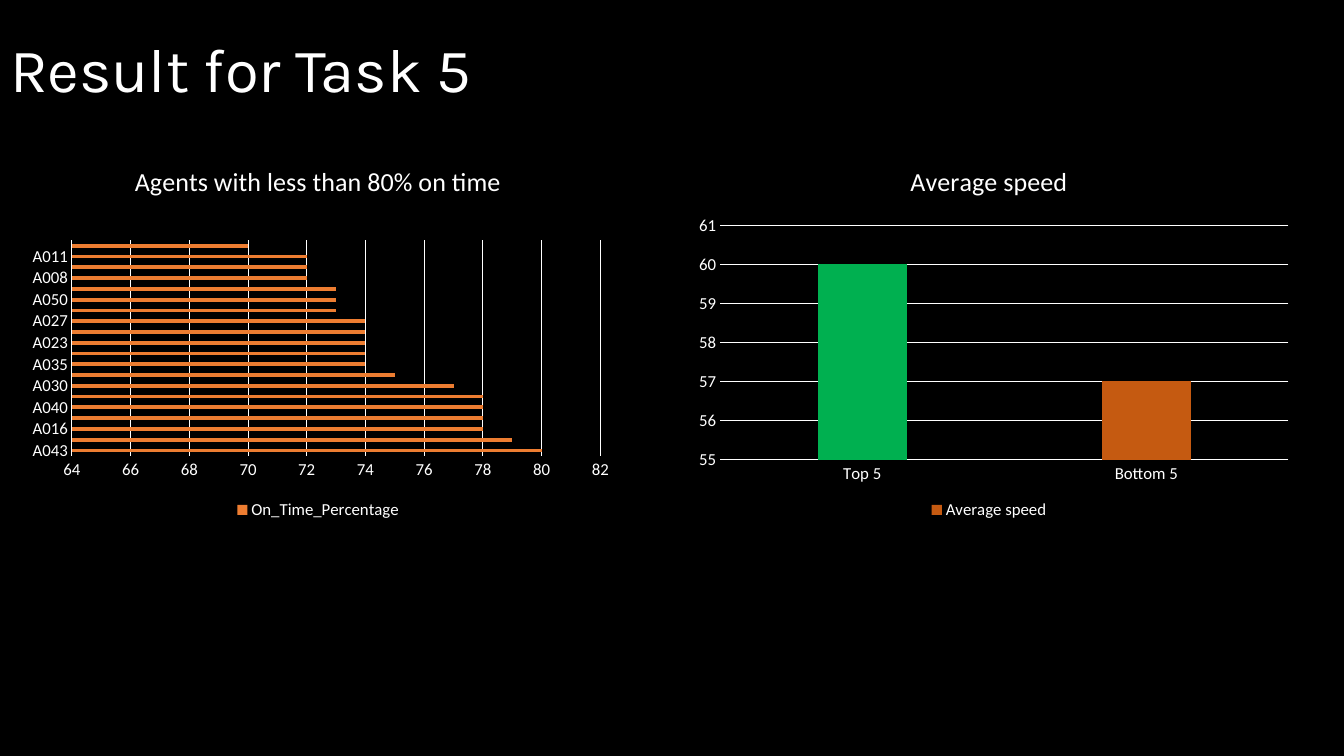
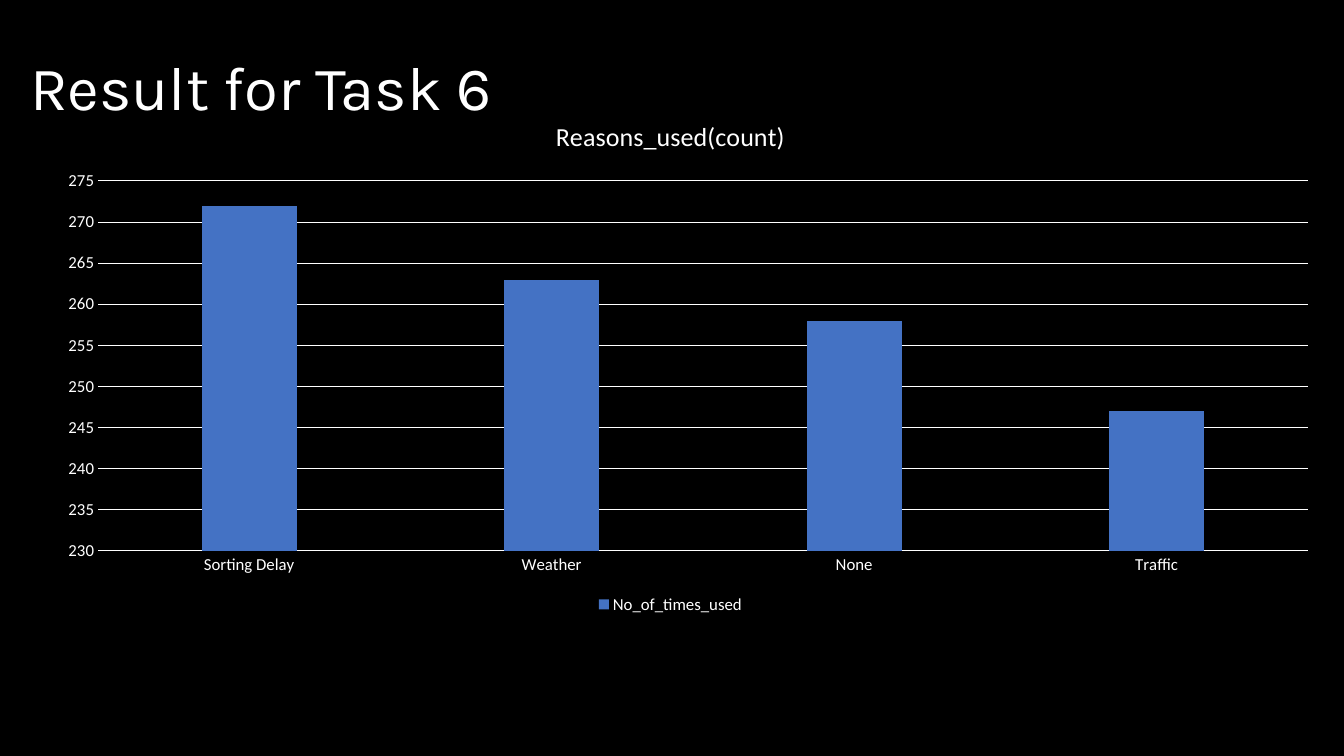
"""Build two result slides with bar charts on a black background."""
from dataclasses import dataclass, field
from typing import Any

import lxml.etree
import pptx
import pptx.chart.data
import pptx.dml.color
import pptx.enum.chart
import pptx.enum.text
import pptx.oxml.ns
import pptx.util

PX = 9525
COLORS = {
    "background": "000000",
    "text": "FFFFFF",
    "orange": "ED7D31",
    "rust": "C55A11",
    "green": "00B050",
    "blue": "4472C4",
}
HEADING_FONT = "Karla"
CHART_FONT = "Calibri"
XL = pptx.enum.chart


@dataclass(frozen=True)
class Box:
    """A rectangle in px."""

    left: int
    top: int
    width: int
    height: int

    def emu(self) -> tuple[int, int, int, int]:
        """Return the rectangle in EMU."""
        return self.left * PX, self.top * PX, self.width * PX, self.height * PX


@dataclass(frozen=True)
class BarChart:
    """The data and look of one bar chart."""

    box: Box
    heading: str
    measure: str
    values: dict[str, int]
    color: str
    scale: tuple[int, int, int]
    plot: tuple[float, float, float, float]
    horizontal: bool = False
    gap: int = 219
    overlap: int = -27
    point_colors: dict[int, str] = field(default_factory=dict)


@dataclass(frozen=True)
class ResultSlide:
    """A title and its charts."""

    title: str
    title_box: Box
    charts: list[BarChart]


ON_TIME = {
    "A043": 80, "A037": 79, "A016": 78, "A048": 78, "A040": 78,
    "A020": 78, "A030": 77, "A046": 75, "A035": 74, "A028": 74,
    "A023": 74, "A003": 74, "A027": 74, "A018": 73, "A050": 73,
    "A039": 73, "A008": 72, "A038": 72, "A011": 72, "A010": 70,
}
SLIDES = [
    ResultSlide("Result for Task 5", Box(0, 0, 631, 139), [
        BarChart(Box(17, 139, 572, 360), "Agents with less than 80% on time",
                 "On_Time_Percentage", ON_TIME, "orange", (64, 82, 2),
                 (0.09, 0.25, 0.88, 0.57), horizontal=True, gap=182, overlap=0),
        BarChart(Box(651, 139, 582, 360), "Average speed", "Average speed",
                 {"Top 5": 60, "Bottom 5": 57}, "rust", (55, 61, 1),
                 (0.06, 0.21, 0.93, 0.62), point_colors={0: "green"}),
    ]),
    ResultSlide("Result for Task 6", Box(19, 40, 478, 93), [
        BarChart(Box(19, 93, 1239, 496), "Reasons_used(count)", "No_of_times_used",
                 {"Sorting Delay": 272, "Weather": 263, "None": 258, "Traffic": 247},
                 "blue", (230, 275, 5), (0.06, 0.16, 0.93, 0.71)),
    ]),
]


def rgb(color: str) -> pptx.dml.color.RGBColor:
    """Look up a named colour."""
    return pptx.dml.color.RGBColor.from_string(COLORS[color])


def paint(fill: Any, color: str) -> None:
    """Give a fill one solid colour."""
    fill.solid()
    fill.fore_color.rgb = rgb(color)


def style_font(font: Any, size: float, name: str = CHART_FONT) -> None:
    """Set the shared text look."""
    font.name = name
    font.size = pptx.util.Pt(size)
    font.bold = False
    font.color.rgb = rgb("text")


def write_text(frame: Any, text: str, *, size: float, name: str = CHART_FONT,
               align: Any = None, line_spacing: float | None = None) -> None:
    """Write one formatted paragraph into a text frame."""
    frame.text = text
    paragraph = frame.paragraphs[0]
    paragraph.alignment = align
    paragraph.line_spacing = line_spacing
    style_font(paragraph.runs[0].font, size, name)


def place_plot(chart: Any, plot: tuple[float, float, float, float]) -> None:
    """Fix the inner plot area as fractions of the chart."""
    qn = pptx.oxml.ns.qn
    area = chart.element.find(".//" + qn("c:plotArea"))
    previous = area.find(qn("c:layout"))
    if previous is not None:
        area.remove(previous)
    layout = lxml.etree.Element(qn("c:layout"))
    area.insert(0, layout)
    manual = lxml.etree.SubElement(layout, qn("c:manualLayout"))
    settings = {"layoutTarget": "inner", "xMode": "edge", "yMode": "edge",
                **dict(zip("xywh", plot))}
    for tag, value in settings.items():
        lxml.etree.SubElement(manual, qn(f"c:{tag}")).set("val", str(value))


def style_line(line: Any) -> None:
    """Draw a thin line in the text colour."""
    line.color.rgb = rgb("text")
    line.width = pptx.util.Pt(0.75)


def style_axes(chart: Any, scale: tuple[int, int, int]) -> None:
    """Format both axes and the gridlines."""
    categories, values = chart.category_axis, chart.value_axis
    for axis in (categories, values):
        axis.major_tick_mark = axis.minor_tick_mark = XL.XL_TICK_MARK.NONE
        style_font(axis.tick_labels.font, 12)
    categories.has_major_gridlines = False
    style_line(categories.format.line)
    values.minimum_scale, values.maximum_scale, values.major_unit = scale
    values.has_major_gridlines = True
    style_line(values.major_gridlines.format.line)
    values.format.line.fill.background()


def add_bar_chart(slide: Any, spec_: BarChart) -> None:
    """Draw one bar chart."""
    data = pptx.chart.data.CategoryChartData()
    data.categories = list(spec_.values)
    data.add_series(spec_.measure, list(spec_.values.values()))
    kind = (XL.XL_CHART_TYPE.BAR_CLUSTERED if spec_.horizontal
            else XL.XL_CHART_TYPE.COLUMN_CLUSTERED)
    chart = slide.shapes.add_chart(kind, *spec_.box.emu(), data).chart
    style_font(chart.font, 10)
    chart.has_title = True
    write_text(chart.chart_title.text_frame, spec_.heading, size=18.6)
    chart.chart_title.include_in_layout = False
    chart.has_legend = True
    chart.legend.position = XL.XL_LEGEND_POSITION.BOTTOM
    chart.legend.include_in_layout = False
    style_font(chart.legend.font, 12)
    style_axes(chart, spec_.scale)
    place_plot(chart, spec_.plot)
    bars = chart.plots[0]
    bars.vary_by_categories = False
    bars.gap_width, bars.overlap = spec_.gap, spec_.overlap
    series = bars.series[0]
    series.invert_if_negative = False
    paint(series.format.fill, spec_.color)
    for index, color in spec_.point_colors.items():
        paint(series.points[index].format.fill, color)


def add_result_slide(deck: Any, result: ResultSlide) -> None:
    """Add a slide with its title and charts."""
    slide = deck.slides.add_slide(deck.slide_layouts.get_by_name("Title Only"))
    title = slide.shapes.title
    title.left, title.top, title.width, title.height = result.title_box.emu()
    frame = title.text_frame
    frame.word_wrap = True
    frame.auto_size = pptx.enum.text.MSO_AUTO_SIZE.NONE
    frame.vertical_anchor = pptx.enum.text.MSO_ANCHOR.MIDDLE
    write_text(frame, result.title, size=44, name=HEADING_FONT,
               align=pptx.enum.text.PP_ALIGN.LEFT, line_spacing=0.9)
    for chart in result.charts:
        add_bar_chart(slide, chart)


def main() -> None:
    """Build and save the deck."""
    deck = pptx.Presentation()
    deck.slide_width, deck.slide_height = 1280 * PX, 720 * PX
    paint(deck.slide_master.background.fill, "background")
    for result in SLIDES:
        add_result_slide(deck, result)
    deck.save("out.pptx")


if __name__ == "__main__":
    main()
